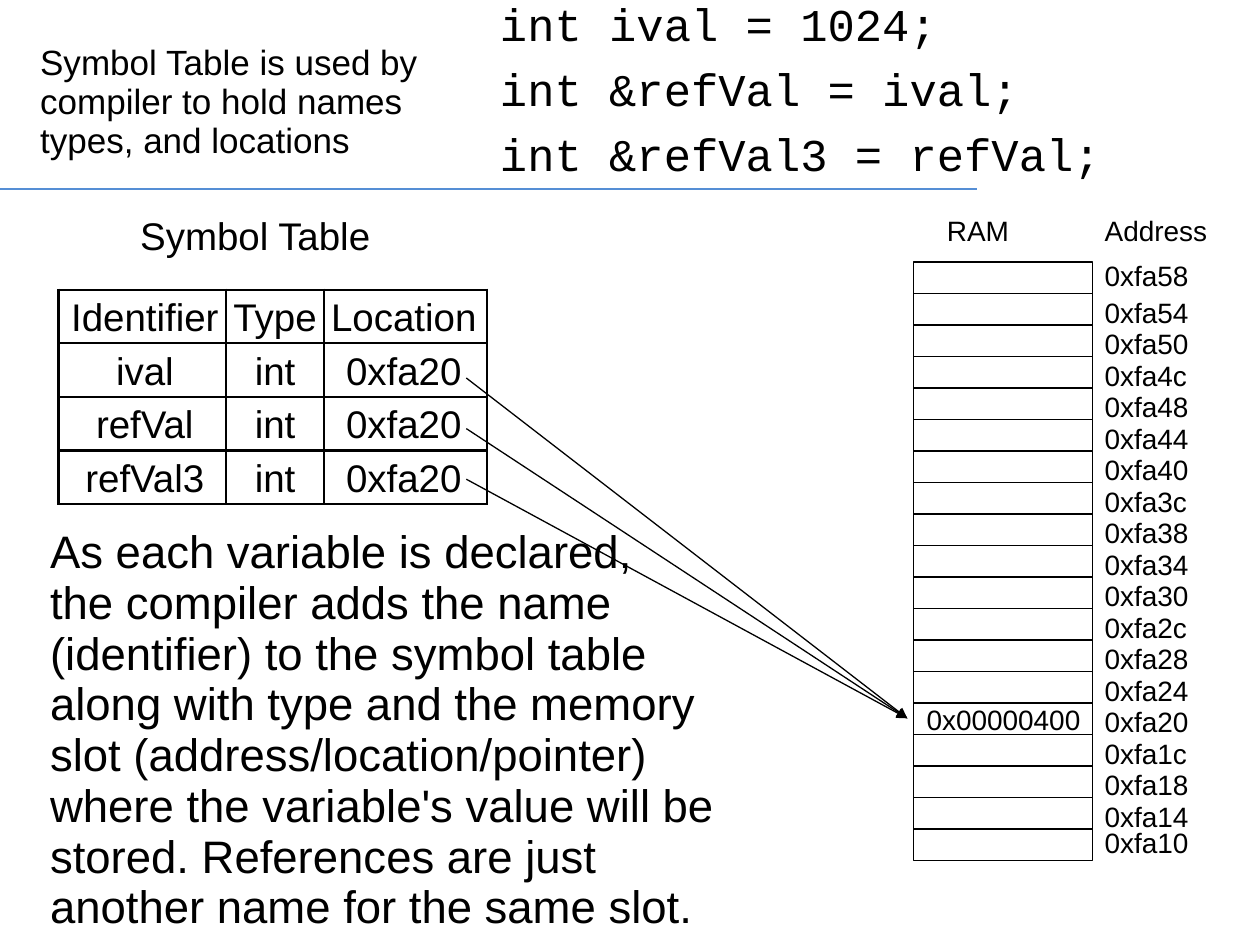
from lxml import etree
from pptx import Presentation
from pptx import util as u
from pptx.dml.color import RGBColor
from pptx.enum import shapes, text
from pptx.oxml.ns import qn

COLORS = {"ink": "000000", "rule": "558ED5"}
SANS, MONO = "Arial", "Courier New"
CENTER = text.PP_ALIGN.CENTER


def rgb(name):
    return RGBColor.from_string(COLORS[name])


def write(tf, lines, size, font=SANS, align=None, spacing=0.93, after=0):
    for i, line in enumerate(lines):
        p = tf.paragraphs[0] if i == 0 else tf.add_paragraph()
        p.alignment = align
        p.line_spacing = spacing
        p.space_after = u.Pt(after)
        r = p.add_run()
        r.text = line
        r.font.size = u.Pt(size)
        r.font.name = font
        r.font.color.rgb = rgb("ink")


def add_text(s, box, lines, size, wrap=False, **style):
    tf = s.shapes.add_textbox(*map(u.Cm, box)).text_frame
    tf.word_wrap = wrap
    if "align" not in style:
        tf.margin_right = 0
    write(tf, lines, size, **style)


def add_line(s, start, end, color="ink", arrow=False):
    c = s.shapes.add_connector(shapes.MSO_CONNECTOR.STRAIGHT,
                               *map(u.Cm, (*start, *end)))
    c.line.color.rgb = rgb(color)
    c.line.width = u.Pt(0.75)
    if arrow:
        etree.SubElement(c.line._get_or_add_ln(), qn("a:tailEnd"), type="triangle")
    etree.SubElement(c._element.spPr, qn("a:effectLst"))


def border_cell(cell, width):
    tc_pr = cell._tc.get_or_add_tcPr()
    for side in ("lnL", "lnR", "lnT", "lnB"):
        ln = etree.SubElement(tc_pr, qn(f"a:{side}"), w=str(u.Pt(width)))
        fill = etree.SubElement(ln, qn("a:solidFill"))
        etree.SubElement(fill, qn("a:srgbClr"), val=COLORS["ink"])
    cell.fill.background()


def add_header(s, x, y):
    add_text(s, (x + 0.56, y + 0.76, 8.2, 2.62),
             ["Symbol Table is used by", "compiler to hold names",
              "types, and locations"], 20, wrap=True)
    add_text(s, (x + 9.83, y - 0.2, 14.99, 4.09),
             ["int ival = 1024;", "int &refVal = ival;", "int &refVal3 = refVal;"],
             26, wrap=True, font=MONO, spacing=1.0, after=6)
    add_line(s, (x, y + 3.81), (x + 19.69, y + 3.81), "rule")


def add_symbol_table(s, x, y, col_widths, height):
    rows = [("Identifier", "Type", "Location")]
    rows += [(name, "int", "0xfa20") for name in ("ival", "refVal", "refVal3")]
    add_text(s, (x + 1.35, y - 1.6, 5.23, 1.12), ["Symbol Table"], 22, align=CENTER)
    frame = s.shapes.add_table(len(rows), len(col_widths), u.Cm(x), u.Cm(y),
                               u.Cm(sum(col_widths)), u.Cm(height))
    table = frame.table
    table.first_row = table.horz_banding = False
    for column, width in zip(table.columns, col_widths):
        column.width = u.Cm(width)
    for i, row in enumerate(rows):
        table.rows[i].height = u.Cm(height / len(rows))
        for j, value in enumerate(row):
            cell = table.cell(i, j)
            cell.margin_left = u.Cm(0.1 if j == 0 else 0)
            cell.margin_right = u.Cm(0.06 if j == 2 else 0)
            cell.margin_top, cell.margin_bottom = u.Cm(0.12), 0
            cell.vertical_anchor = text.MSO_ANCHOR.MIDDLE
            write(cell.text_frame, [value], 22, align=CENTER)
            border_cell(cell, 1.45)


def add_memory(s, x, y, width, height):
    addresses = [f"0xfa{a:02x}" for a in range(0x58, 0x0C, -4)]
    step = height / len(addresses)
    label_x = x + width
    add_text(s, (x + 0.43, y - 1.04, 1.75, 0.89), ["RAM"], 16, wrap=True)
    add_text(s, (label_x, y - 1.04, 2.57, 0.89), ["Address"], 16, wrap=True)
    for i, address in enumerate(addresses):
        top = y + i * step
        slot = s.shapes.add_shape(shapes.MSO_SHAPE.RECTANGLE,
                                  *map(u.Cm, (x, top, width, step)))
        slot.shadow.inherit = False
        slot.fill.background()
        slot.line.color.rgb = rgb("ink")
        slot.line.width = u.Pt(0.75)
        # The first and last labels sit slightly higher
        lift = 0.13 if address in (addresses[0], addresses[-1]) else 0.03
        add_text(s, (label_x, top - lift, 2.18, 0.89), [address], 16, wrap=True)
        if address == "0xfa20":
            add_text(s, (x + 0.02, top - 0.08, 3.61, 0.89), ["0x00000400"], 16,
                     wrap=True)


def add_explanation(s, x, y, width, height):
    add_text(s, (x, y, width, height),
             ["As each variable is declared,", "the compiler adds the name",
              "(identifier) to the symbol table", "along with type and the memory",
              "slot (address/location/pointer)", "where the variable's value will be",
              "stored. References are just", "another name for the same slot."],
             26, wrap=True)


def add_pointers(s, x, y, gap, target):
    for i in range(3):
        add_line(s, (x, y + i * gap), target, arrow=True)


def main():
    prs = Presentation()
    prs.slide_width, prs.slide_height = u.Cm(25.4), u.Cm(19.05)
    s = prs.slides.add_slide(prs.slide_layouts[6])
    add_header(s, 0, 0)
    add_memory(s, 18.41, 5.28, 3.61, 12.07)
    add_symbol_table(s, 1.18, 5.84, (3.38, 1.97, 3.28), 4.32)
    add_explanation(s, 0.76, 10.52, 13.89, 8.43)
    add_pointers(s, 9.4, 7.62, 1.02, (18.29, 14.48))
    prs.save("out.pptx")


if __name__ == "__main__":
    main()
